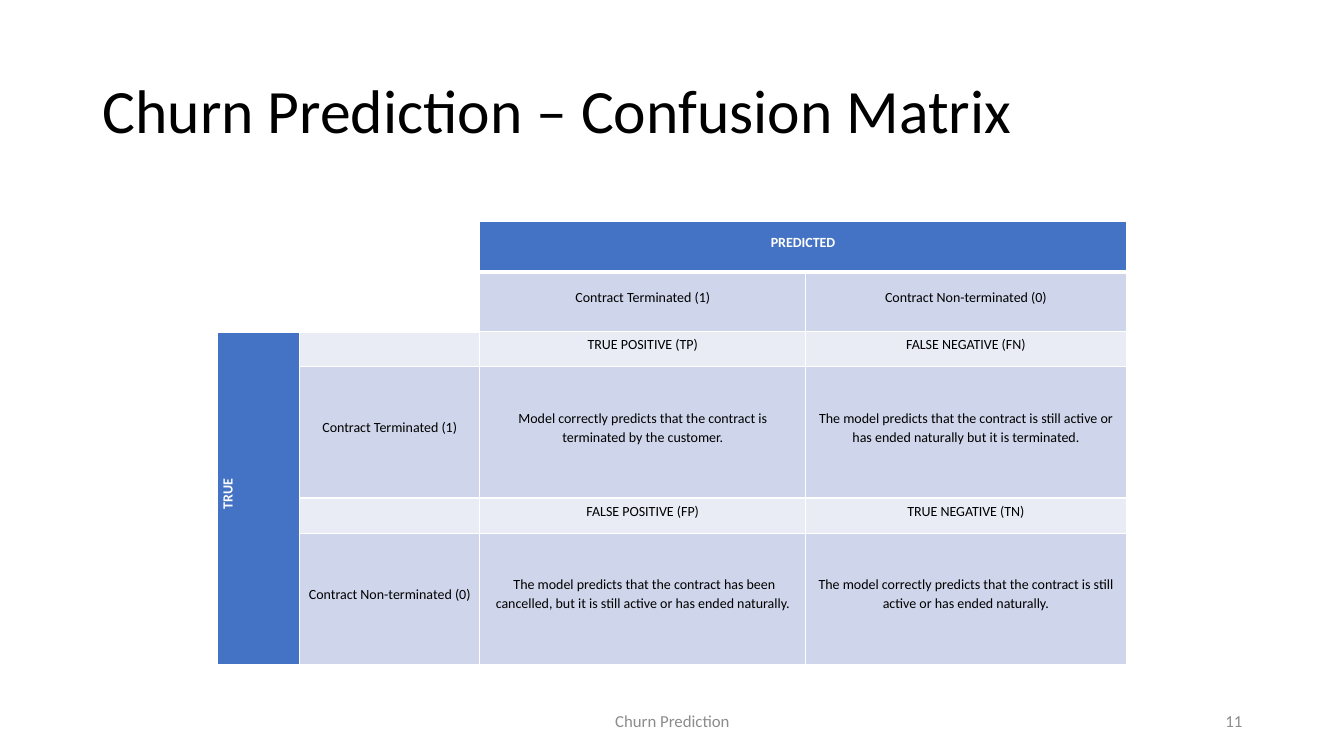
from lxml import etree
from pptx import Presentation
from pptx.dml.color import RGBColor
from pptx.enum.text import MSO_ANCHOR, PP_ALIGN
from pptx.oxml.ns import qn
from pptx.util import Inches, Pt

LEFT, CENTER, RIGHT = PP_ALIGN.LEFT, PP_ALIGN.CENTER, PP_ALIGN.RIGHT
MIDDLE = MSO_ANCHOR.MIDDLE

BLACK = RGBColor(0x00, 0x00, 0x00)
WHITE = RGBColor(0xFF, 0xFF, 0xFF)
GRAY = RGBColor(0x8C, 0x8C, 0x8C)
BLUE = RGBColor(0x44, 0x72, 0xC4)
DARK_BAND = RGBColor(0xCF, 0xD5, 0xEA)
LIGHT_BAND = RGBColor(0xE9, 0xEB, 0xF5)

FONT = "Calibri"
COLUMN_WIDTHS = [0.81, 1.79, 3.23, 3.18]
ROW_HEIGHTS = [0.5, 0.59, 0.35, 1.3, 0.35, 1.3]
TERMINATED = "Contract Terminated (1)"
NON_TERMINATED = "Contract Non-terminated (0)"
MATRIX = [
    ["", "", "PREDICTED", ""],
    ["", "", TERMINATED, NON_TERMINATED],
    ["TRUE", "", "TRUE POSITIVE (TP)", "FALSE NEGATIVE (FN)"],
    ["", TERMINATED,
     "Model correctly predicts that the contract is terminated by the customer.",
     "The model predicts that the contract is still active or has ended "
     "naturally but it is terminated."],
    ["", "", "FALSE POSITIVE (FP)", "TRUE NEGATIVE (TN)"],
    ["", NON_TERMINATED,
     " The model predicts that the contract has been cancelled, but it is still "
     "active or has ended naturally.",
     "The model correctly predicts that the contract is still active or has "
     "ended naturally."],
]


def set_font(para, size, color, bold=False):
    font = para.font
    font.name, font.size, font.bold = FONT, Pt(size), bold
    font.color.rgb = color


def add_text(page, text, left, top, width, height, size, color, align, spacing=1.0):
    box = page.shapes.add_textbox(
        Inches(left), Inches(top), Inches(width), Inches(height))
    frame = box.text_frame
    frame.word_wrap = True
    frame.vertical_anchor = MIDDLE
    para = frame.paragraphs[0]
    para.text = text
    para.alignment = align
    para.line_spacing = spacing
    set_font(para, size, color)


def set_borders(cell, top, bottom):
    """Draw white cell borders; top and bottom are widths in points."""
    properties = cell._tc.get_or_add_tcPr()
    widths = {"a:lnL": 1, "a:lnR": 1, "a:lnT": top, "a:lnB": bottom}
    for position, (tag, width) in enumerate(widths.items()):
        line = etree.Element(qn(tag), w=str(Pt(width)))
        fill = etree.SubElement(line, qn("a:solidFill"))
        etree.SubElement(fill, qn("a:srgbClr"), val=str(WHITE))
        properties.insert(position, line)


def cell_fill(row, column):
    if row < 2 and column < 2:
        return WHITE
    if row == 0 or column == 0:
        return BLUE
    return DARK_BAND if row % 2 else LIGHT_BAND


def style_cell(cell, text, row, column):
    fill = cell_fill(row, column)
    cell.fill.solid()
    cell.fill.fore_color.rgb = fill
    set_borders(cell, 3 if row == 1 else 1, 3 if row == 0 else 1)
    cell.vertical_anchor = MIDDLE
    cell.margin_left = cell.margin_right = Inches(0.07)
    cell.margin_top = 0
    cell.margin_bottom = Inches(0.1 if text else 0)
    para = cell.text_frame.paragraphs[0]
    para.text = text
    para.alignment = CENTER
    para.line_spacing = 1.1
    heading = fill == BLUE
    set_font(para, 10, WHITE if heading else BLACK, heading)


def add_matrix(page):
    table = page.shapes.add_table(
        len(ROW_HEIGHTS), len(COLUMN_WIDTHS), Inches(2.16), Inches(2.2),
        Inches(sum(COLUMN_WIDTHS)), Inches(sum(ROW_HEIGHTS))).table
    for column, width in zip(table.columns, COLUMN_WIDTHS):
        column.width = Inches(width)
    for row, height in zip(table.rows, ROW_HEIGHTS):
        row.height = Inches(height)
    for row, texts in enumerate(MATRIX):
        for column, text in enumerate(texts):
            style_cell(table.cell(row, column), text, row, column)

    table.cell(0, 0).merge(table.cell(1, 1))
    table.cell(0, 2).merge(table.cell(0, 3))
    true_cell = table.cell(2, 0)
    true_cell.merge(table.cell(5, 0))
    true_cell._tc.get_or_add_tcPr().set("vert", "vert270")
    true_para = true_cell.text_frame.paragraphs[0]
    true_para._p.get_or_add_pPr().set("marL", str(Inches(0.08)))


def main():
    deck = Presentation()
    deck.slide_width, deck.slide_height = Inches(13.33), Inches(7.5)
    page = deck.slides.add_slide(deck.slide_layouts[6])
    add_text(page, "Churn Prediction – Confusion Matrix",
             0.92, 0.4, 11.5, 1.45, 44, BLACK, LEFT, 0.9)
    add_matrix(page)
    add_text(page, "Churn Prediction", 4.42, 6.95, 4.5, 0.4, 12, GRAY, CENTER)
    add_text(page, "11", 9.42, 6.95, 3, 0.4, 12, GRAY, RIGHT)
    deck.save("out.pptx")


if __name__ == "__main__":
    main()
